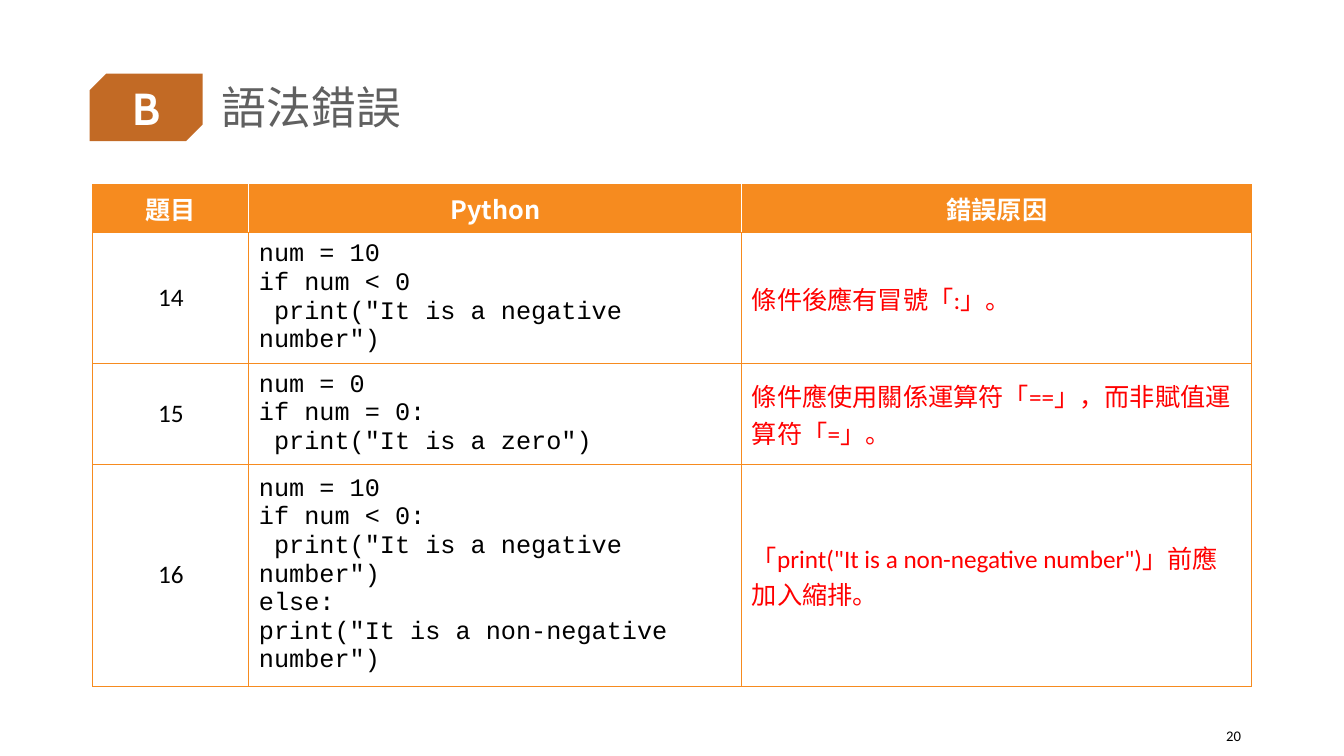
import pptx
import pptx.util
import pptx.dml.color
import pptx.enum.shapes
import pptx.enum.text
import pptx.oxml
import pptx.oxml.ns

Pt = pptx.util.Pt
ALIGN = pptx.enum.text.PP_ALIGN
MIDDLE = pptx.enum.text.MSO_ANCHOR.MIDDLE
HEX = {"badge": "C26A25", "title": "606060", "head": "F68B1F",
       "white": "FFFFFF", "black": "000000", "red": "FF0000"}
CJK = "Noto Sans CJK TC"

HEADS = ["題目", "Python", "錯誤原因"]
ROWS = [
    ("14", ["num = 10", "if num < 0", ' print("It is a negative number")'],
     "條件後應有冒號「:」。"),
    ("15", ["num = 0", "if num = 0:", ' print("It is a zero")'],
     "條件應使用關係運算符「==」，而非賦值運算符「=」。"),
    ("16", ["num = 10", "if num < 0:", ' print("It is a negative number")',
            "else:", 'print("It is a non-negative number")'],
     "「print(\"It is a non-negative number\")」前應加入縮排。"),
]
WIDTHS = [111.6, 352.1, 364.3]
HEIGHTS = [34, 88.6, 68.5, 150]


def color(name):
    return pptx.dml.color.RGBColor.from_string(HEX[name])


def write(frame, lines, size, face, ink, bold=False, align=ALIGN.LEFT):
    frame.word_wrap = True
    for i, line in enumerate(lines):
        para = frame.add_paragraph() if i else frame.paragraphs[0]
        para.alignment = align
        run = para.add_run()
        run.text = line
        font = run.font
        font.size, font.name, font.bold = Pt(size), face, bold
        font.color.rgb = color(ink)
        east = pptx.oxml.parse_xml(
            f'<a:ea {pptx.oxml.ns.nsdecls("a")} typeface="{CJK}"/>')
        run._r.get_or_add_rPr().find(pptx.oxml.ns.qn("a:latin")).addnext(east)


def label(slide, box, text, size, face, ink, bold, align):
    frame = slide.shapes.add_textbox(*map(Pt, box)).text_frame
    frame.vertical_anchor = MIDDLE
    write(frame, [text], size, face, ink, bold, align)


def header(slide, left, top, width, height):
    badge = slide.shapes.add_shape(
        pptx.enum.shapes.MSO_SHAPE.SNIP_2_DIAG_RECTANGLE,
        Pt(left), Pt(top + 23.8), Pt(80.6), Pt(48.2))
    badge.adjustments[0], badge.adjustments[1] = 0.245, 0
    badge.shadow.inherit = False
    badge.fill.solid()
    badge.fill.fore_color.rgb = color("badge")
    badge.line.fill.background()
    label(slide, (left + 2.2, top + 25.2, 76.3, 46), "B", 32, "Cabin",
          "white", True, ALIGN.CENTER)
    title = slide.shapes.title
    title.left, title.top = Pt(left + 87.1), Pt(top)
    title.width, title.height = Pt(width - 87.1), Pt(height)
    frame = title.text_frame
    frame.vertical_anchor = MIDDLE
    write(frame, ["語法錯誤"], 32, CJK, "title")
    frame.paragraphs[0].line_spacing = 0.9


def border(cell, inks):
    props = cell._tc.get_or_add_tcPr()
    for side, ink in zip("LRTB", inks):
        props.append(pptx.oxml.parse_xml(
            f'<a:ln{side} {pptx.oxml.ns.nsdecls("a")} w="12700"><a:solidFill>'
            f'<a:srgbClr val="{HEX[ink]}"/></a:solidFill></a:ln{side}>'))


def grid(slide, left, top):
    table = slide.shapes.add_table(
        len(HEIGHTS), len(WIDTHS), Pt(left), Pt(top),
        Pt(sum(WIDTHS)), Pt(sum(HEIGHTS))).table
    table.horz_banding = False
    for col, width in zip(table.columns, WIDTHS):
        col.width = Pt(width)
    for row, height in zip(table.rows, HEIGHTS):
        row.height = Pt(height)
    last = len(HEADS) - 1
    for c, head in enumerate(HEADS):
        cell = table.cell(0, c)
        border(cell, ["white" if c else "head",
                      "white" if c < last else "head", "head", "head"])
        cell.fill.solid()
        cell.fill.fore_color.rgb = color("head")
        write(cell.text_frame, [head], 18, CJK, "white", True, ALIGN.CENTER)
    for r, (number, code, cause) in enumerate(ROWS, 1):
        parts = [([number], "Calibri", "black", ALIGN.CENTER),
                 (code, "Courier New", "black", ALIGN.LEFT),
                 ([cause], "Calibri", "red", ALIGN.LEFT)]
        for c, (lines, face, ink, align) in enumerate(parts):
            cell = table.cell(r, c)
            border(cell, ["head"] * 4)
            cell.fill.background()
            cell.vertical_anchor = MIDDLE
            write(cell.text_frame, lines, 18, face, ink, False, align)


def main():
    deck = pptx.Presentation()
    deck.slide_width, deck.slide_height = Pt(960), Pt(540)
    slide = deck.slides.add_slide(deck.slide_layouts[5])
    header(slide, 64.1, 28.8, 830.2, 99.4)
    grid(slide, 66.2, 132.1)
    label(slide, (833, 511.2, 60.5, 28.8), "20", 10.5, "Calibri", "black",
          False, ALIGN.RIGHT)
    deck.save("out.pptx")


if __name__ == "__main__":
    main()
